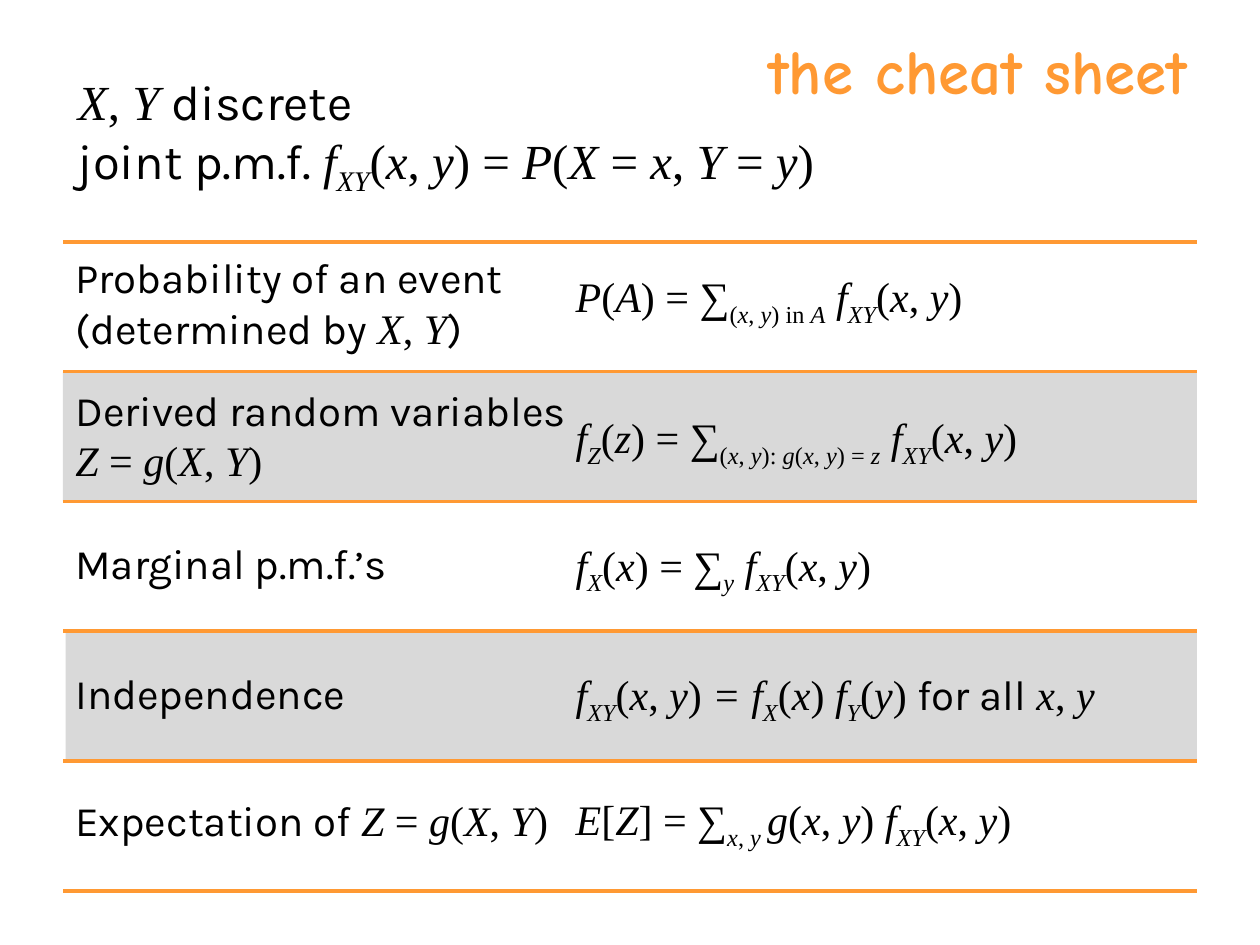
from lxml.etree import SubElement
from pptx import Presentation
from pptx.dml.color import RGBColor
from pptx.enum.shapes import MSO_CONNECTOR, MSO_SHAPE
from pptx.enum.text import MSO_ANCHOR, MSO_AUTO_SIZE, PP_ALIGN
from pptx.oxml.ns import qn
from pptx.util import Inches, Pt

ORANGE, GRAY, BLACK = "FF9933", "D9D9D9", "000000"
BODY, MATH, DISPLAY = "Karla", "Times New Roman", "Comic Neue"
LEFT, RIGHT, TOP, ROW_H = 0.5, 9.5, 1.92, 1.03
FORMULA_X = 4.47
ITALIC, SUBSCRIPT, WORDS = "*", "~", "|"


def rgb(value):
    return RGBColor.from_string(value)


def parse(markup):
    pieces, active, text = [], set(), ""
    for ch in markup:
        if ch in (ITALIC, SUBSCRIPT, WORDS):
            if text:
                pieces.append((text, frozenset(active)))
            text = ""
            active ^= {ch}
        else:
            text += ch
    if text:
        pieces.append((text, frozenset(active)))
    return pieces


class Sheet:
    def __init__(self, prs):
        self.slide = prs.slides.add_slide(prs.slide_layouts[5])

    def title(self, text, x, y, w, h):
        sp = self.slide.shapes.title
        sp.left, sp.top, sp.width, sp.height = map(Inches, (x, y, w, h))
        tf = sp.text_frame
        tf.text = text
        tf.word_wrap = False
        tf.auto_size = MSO_AUTO_SIZE.NONE
        tf.vertical_anchor = MSO_ANCHOR.TOP
        p = tf.paragraphs[0]
        p.alignment = PP_ALIGN.RIGHT
        p.font.name = DISPLAY
        p.font.size = Pt(36)
        p.font.bold = True
        p.font.color.rgb = rgb(ORANGE)

    def band(self, x, y, w, h):
        sp = self.slide.shapes.add_shape(
            MSO_SHAPE.RECTANGLE, Inches(x), Inches(y), Inches(w), Inches(h))
        sp.shadow.inherit = False
        sp.fill.solid()
        sp.fill.fore_color.rgb = rgb(GRAY)
        sp.line.fill.background()

    def rule(self, y):
        cxn = self.slide.shapes.add_connector(
            MSO_CONNECTOR.STRAIGHT, Inches(LEFT), Inches(y), Inches(RIGHT), Inches(y))
        cxn.line.color.rgb = rgb(ORANGE)
        cxn.line.width = Pt(2)
        SubElement(cxn._element.spPr, qn("a:effectLst"))

    def text(self, markup, x, y, w, h, size=24, wrap=True):
        sp = self.slide.shapes.add_textbox(Inches(x), Inches(y), Inches(w), Inches(h))
        tf = sp.text_frame
        tf.word_wrap = wrap
        for i, line in enumerate(markup.split("\n")):
            p = tf.add_paragraph() if i else tf.paragraphs[0]
            p.font.size = Pt(size)
            p.font.color.rgb = rgb(BLACK)
            for piece, marks in parse(line):
                r = p.add_run()
                r.text = piece
                r.font.name = BODY if WORDS in marks else MATH
                r.font.italic = ITALIC in marks
                if SUBSCRIPT in marks:
                    r.font._element.set("baseline", "-25000")


JOINT = "*f~XY~*(*x*, *y*)"
ROWS = [
    ("|Probability of an event|\n|(determined by |*X*, *Y*|)|", 1.95, 0.91,
     f"*P*(*A*) = ∑~(*x*, *y*) in *A*~ {JOINT}", 2.10, 3.61),
    ("|Derived random variables|\n*Z* = *g*(*X*, *Y*)", 3.00, 0.91,
     f"*f~Z~*(*z*) = ∑~(*x*, *y*): *g*(*x*, *y*) = *z*~ {JOINT}", 3.22, 4.08),
    ("|Marginal p.m.f.’s|", 4.22, 0.5,
     f"*f~X~*(*x*) = ∑~*y*~ {JOINT}", 4.23, 2.89),
    ("|Independence|", 5.25, 0.5,
     f"{JOINT} *= f~X~*(*x*) *f~Y~*(*y*) |for all |*x*, *y*", 5.26, 4.39),
    ("|Expectation of |*Z* = *g*(*X*, *Y*)", 6.26, 0.5,
     f"*E*[*Z*] = ∑~*x*, *y *~*g*(*x*, *y*) {JOINT}", 6.25, 3.79),
]


def main():
    prs = Presentation()
    prs.slide_width, prs.slide_height = Inches(10), Inches(7.5)
    s = Sheet(prs)
    s.title("the cheat sheet", 5.38, 0.2, 4.14, 0.71)
    for row, x in ((1, LEFT), (3, 0.52)):
        s.band(x, TOP + row * ROW_H, RIGHT - x, ROW_H)
    for i in range(len(ROWS) + 1):
        s.rule(TOP + i * ROW_H)
    s.text(f"*X*, *Y *|discrete|\n|joint p.m.f. |{JOINT} = *P*(*X* = *x*, *Y* = *y*)",
           0.52, 0.52, 9, 1.04, size=28)
    for label, label_y, label_h, formula, formula_y, formula_w in ROWS:
        s.text(label, LEFT, label_y, 4.16, label_h)
        s.text(formula, FORMULA_X, formula_y, formula_w, 0.5, wrap=False)
    prs.save("out.pptx")


if __name__ == "__main__":
    main()
